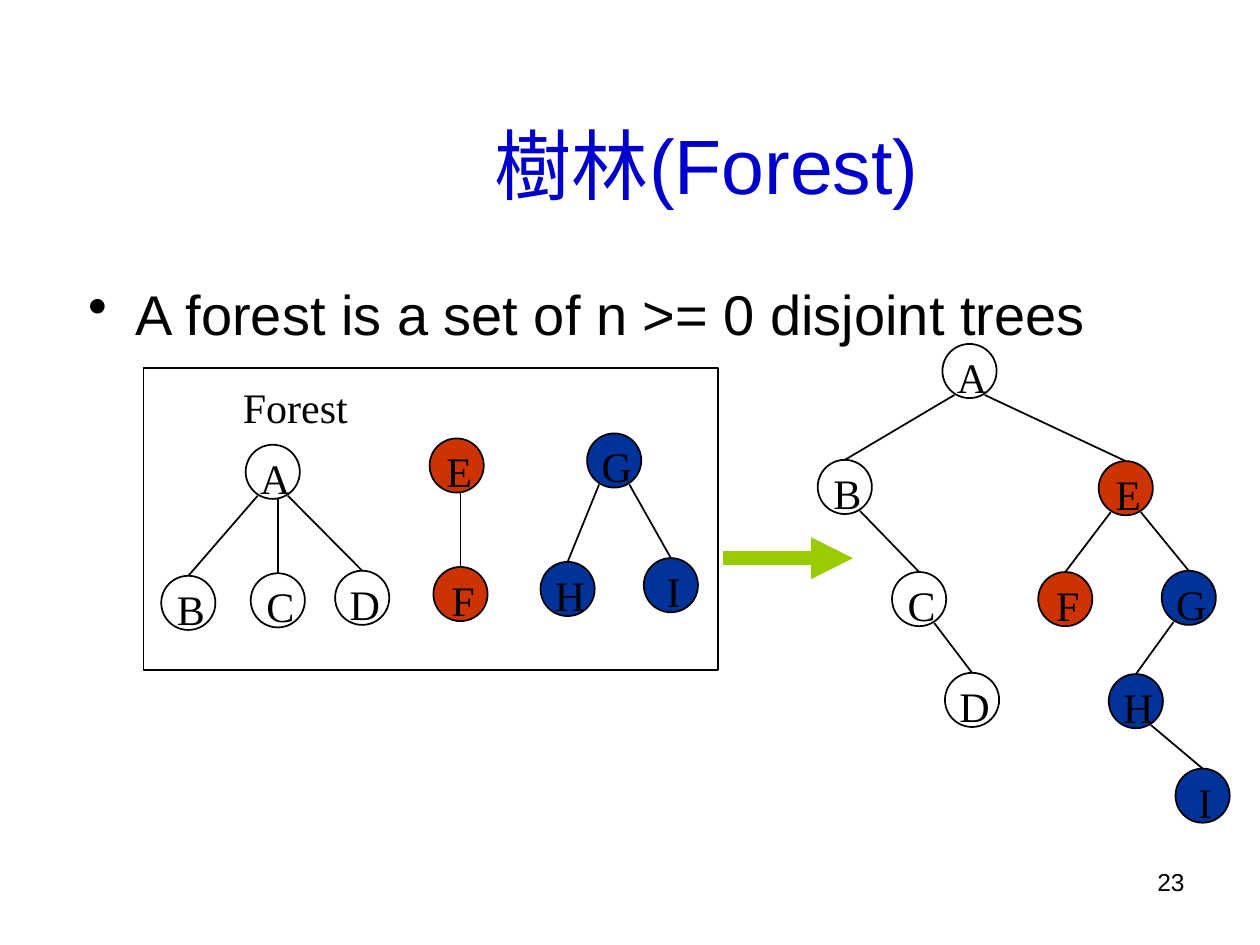
from lxml import etree
from pptx import Presentation
from pptx import util as u
from pptx.dml.color import RGBColor
from pptx.enum import shapes, text
from pptx.oxml.ns import qn

# Content: each node is letter, left, top, tree colour, parent letter
TITLE = "樹林(Forest)"
STATEMENT = "A forest is a set of n >= 0 disjoint trees"
FOREST_CAPTION = "Forest"
PAGE = "23"
FOREST = [
    ("A", 1.95, 3.53, None, None),
    ("B", 1.28, 4.57, None, "A"),
    ("C", 1.99, 4.55, None, "A"),
    ("D", 2.66, 4.53, None, "A"),
    ("E", 3.41, 3.48, "red", None),
    ("F", 3.44, 4.50, "red", "E"),
    ("G", 4.66, 3.44, "blue", None),
    ("H", 4.29, 4.46, "blue", "G"),
    ("I", 5.11, 4.43, "blue", "G"),
]
BINARY_TREE = [
    ("A", 7.48, 2.73, None, None),
    ("B", 6.49, 3.65, None, "A"),
    ("C", 7.08, 4.54, None, "B"),
    ("D", 7.50, 5.34, None, "C"),
    ("E", 8.72, 3.66, "red", "A"),
    ("F", 8.24, 4.54, "red", "E"),
    ("G", 9.22, 4.53, "blue", "E"),
    ("H", 8.80, 5.35, "blue", "G"),
    ("I", 9.33, 6.10, "blue", "H"),
]

THEME = {
    "ink": "000000", "title": "0000CC", "red": "CC3300", "blue": "003399", "arrow": "99CC00",
    "sans": "Arial", "serif": "Times New Roman",
    "title_size": 44, "body_size": 32, "label_size": 24, "page_size": 14,
    "outline": 1, "arrow_width": 8,
}
NODE = 0.43                       # circle diameter
LABEL_HEIGHT = 0.5
LABEL_WIDTH = {"B": 0.42, "C": 0.42, "E": 0.41, "F": 0.39, "I": 0.31}
LABEL_SHIFT = (0.02, 0.01)        # label against its circle
BRANCH = (0.12, 0.19)             # where a slanted edge leaves the parent's centre
STRAIGHT = 0.1                    # smaller sideways steps are drawn vertical

prs = Presentation()
prs.slide_width, prs.slide_height = u.Inches(10), u.Inches(7.5)
slide = prs.slides.add_slide(prs.slide_layouts[6])


def colour(key):
    return RGBColor.from_string(THEME[key])


def inches(*lengths):
    return [u.Inches(length) for length in lengths]


def add_text(words, box, size, face="serif", ink="ink", align="LEFT", anchor="TOP", wrap=True):
    frame = slide.shapes.add_textbox(*inches(*box)).text_frame
    frame_format = {"word_wrap": wrap, "vertical_anchor": getattr(text.MSO_ANCHOR, anchor)}
    for name, value in frame_format.items():
        setattr(frame, name, value)
    paragraph = frame.paragraphs[0]
    paragraph.alignment = getattr(text.PP_ALIGN, align)
    run = paragraph.add_run()
    run.text = words
    for name, value in {"name": THEME[face], "size": u.Pt(THEME[size])}.items():
        setattr(run.font, name, value)
    run.font.color.rgb = colour(ink)
    return paragraph


def add_outlined(kind, box, fill=None):
    outlined = slide.shapes.add_shape(kind, *inches(*box))
    outlined.shadow.inherit = False
    if fill:
        outlined.fill.solid()
        outlined.fill.fore_color.rgb = colour(fill)
    else:
        outlined.fill.background()
    outlined.line.color.rgb = colour("ink")
    outlined.line.width = u.Pt(THEME["outline"])
    return outlined


def add_line(start, end, ink="ink", width="outline"):
    line = slide.shapes.add_connector(shapes.MSO_CONNECTOR.STRAIGHT, *inches(*start, *end))
    line.line.color.rgb = colour(ink)
    line.line.width = u.Pt(THEME[width])
    etree.SubElement(line._element.spPr, qn("a:effectLst"))
    return line


def add_tree(nodes):
    circles, centres = {}, {}
    for letter, left, top, fill, parent in nodes:
        circle = add_outlined(shapes.MSO_SHAPE.OVAL, (left, top, NODE, NODE), fill)
        x, y = left + NODE / 2, top + NODE / 2
        circles[letter], centres[letter] = circle, (x, y)

        # Edge from the parent down to the top of this circle
        if parent:
            parent_x, parent_y = centres[parent]
            step = x - parent_x
            if abs(step) < STRAIGHT:
                start = (x, parent_y + NODE / 2)
            else:
                start = (parent_x + (BRANCH[0] if step > 0 else -BRANCH[0]), parent_y + BRANCH[1])
            add_line(start, (x, top)).end_connect(circle, 0)

        # Letter
        width = LABEL_WIDTH.get(letter, 0.44)
        add_text(letter, (x - width / 2 + LABEL_SHIFT[0], top + LABEL_SHIFT[1], width, LABEL_HEIGHT),
                 "label_size", align="CENTER", wrap=False)


# Title and bulleted statement
add_text(TITLE, (0.6, 0.67, 10.02, 1.25), "title_size", "sans", "title", "CENTER", "MIDDLE")
statement = add_text(STATEMENT, (0.6, 2.17, 10.02, 4.5), "body_size", "sans")
statement.space_before = u.Pt(8)
bullet_format = statement._p.get_or_add_pPr()
for name, value in {"marL": 0.38, "indent": -0.38}.items():
    bullet_format.set(name, str(u.Inches(value)))
etree.SubElement(bullet_format, qn("a:buChar")).set("char", "•")

# Forest in its frame, and the binary tree it becomes
add_tree(FOREST)
add_tree(BINARY_TREE)
add_outlined(shapes.MSO_SHAPE.RECTANGLE, (1.14, 2.92, 4.56, 2.4))
add_text(FOREST_CAPTION, (1.83, 2.98, 1.04, LABEL_HEIGHT), "label_size", wrap=False)

# Arrow from forest to binary tree
conversion = add_line((5.74, 4.43), (6.77, 4.43), "arrow", "arrow_width")
etree.SubElement(conversion.line._get_or_add_ln(), qn("a:tailEnd")).set("type", "triangle")

# Page number
add_text(PAGE, (7.17, 6.83, 2.33, 0.52), "page_size", "sans", align="RIGHT")

prs.save("out.pptx")
